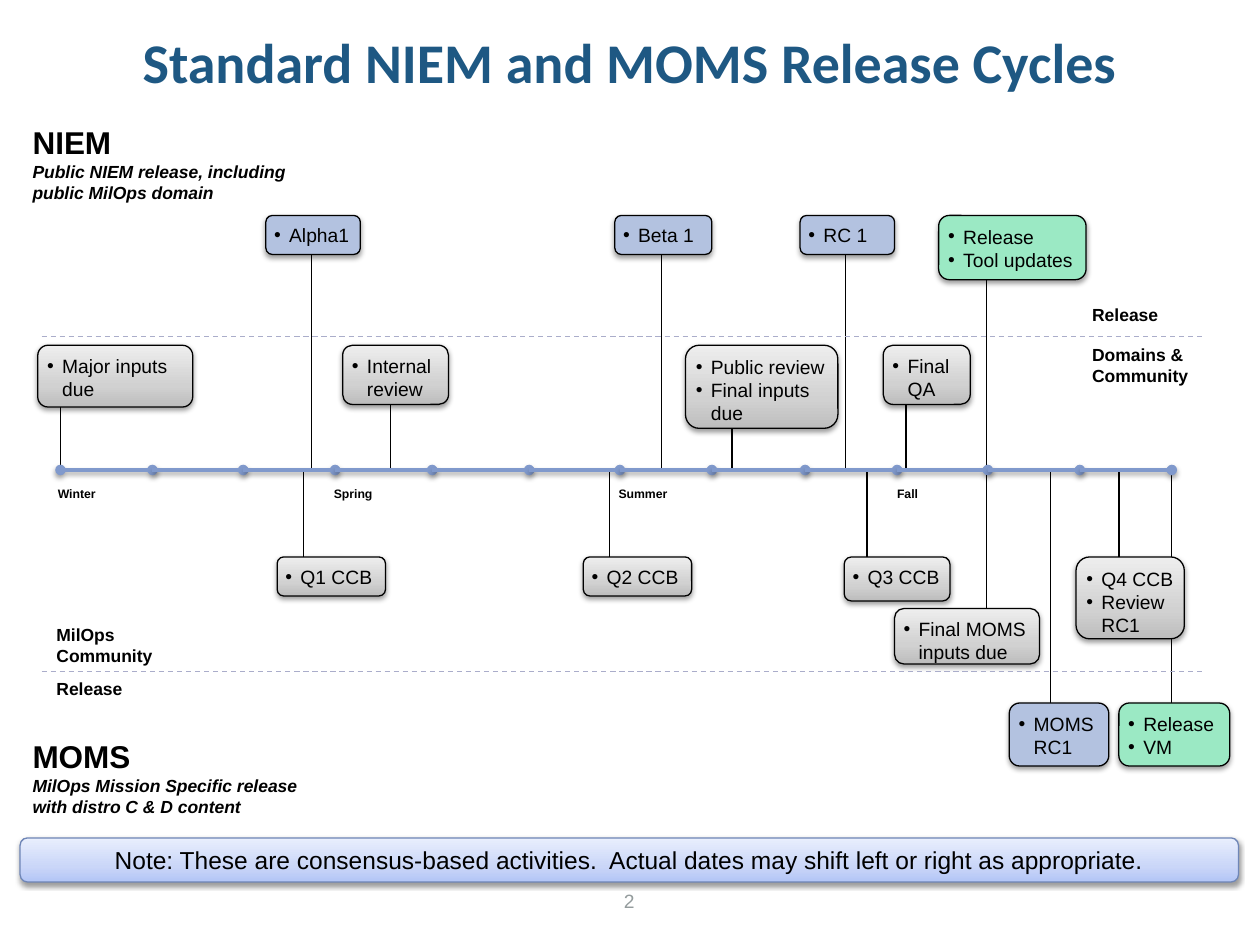
from itertools import pairwise

from lxml import etree
from pptx import Presentation
from pptx.dml.color import RGBColor
from pptx.enum.dml import MSO_LINE
from pptx.enum.shapes import MSO_CONNECTOR, MSO_SHAPE
from pptx.enum.text import MSO_ANCHOR, PP_ALIGN
from pptx.oxml.ns import qn
from pptx.util import Inches, Pt

STRAIGHT = MSO_CONNECTOR.STRAIGHT
ROUNDED = MSO_SHAPE.ROUNDED_RECTANGLE
DASH = MSO_LINE.DASH
TOP, MIDDLE = MSO_ANCHOR.TOP, MSO_ANCHOR.MIDDLE
LEFT, CENTER = PP_ALIGN.LEFT, PP_ALIGN.CENTER

BLACK = RGBColor(0x00, 0x00, 0x00)
TITLE_BLUE = RGBColor(0x1E, 0x58, 0x83)
PAGE_GRAY = RGBColor(0x94, 0x9C, 0x9D)
DIVIDER = RGBColor(0xAA, 0xAD, 0xCA)
AXIS_BLUE = RGBColor(0x80, 0x99, 0xCC)
NOTE_EDGE = RGBColor(0x6F, 0x86, 0xB7)
PREVIEW = RGBColor(0xB3, 0xC2, 0xE0)
FINAL = RGBColor(0x9B, 0xE9, 0xC4)
GRAY_STOPS = ((0, RGBColor(0xBD, 0xBD, 0xBD)), (35, RGBColor(0xD1, 0xD1, 0xD1)),
              (100, RGBColor(0xEE, 0xEE, 0xEE)))
NOTE_STOPS = ((0, RGBColor(0xB3, 0xC5, 0xF6)), (35, RGBColor(0xCA, 0xD6, 0xF8)),
              (100, RGBColor(0xE9, 0xEF, 0xFD)))

AXIS_Y = 3.73
TICKS = (0.48, 1.21, 1.93, 2.66, 3.43, 4.2, 4.92, 5.65, 6.39, 7.12, 7.84, 8.57, 9.3)
SEASONS = ((0.46, "Winter"), (2.65, "Spring"), (4.91, "Summer"), (7.12, "Fall"))

# Callouts: left, width, height, stem x, bullets, fill
NIEM_RELEASES = (
    (2.11, 0.75, 0.31, 2.47, ["Alpha1"], PREVIEW),
    (4.88, 0.77, 0.31, 5.25, ["Beta 1"], PREVIEW),
    (6.35, 0.75, 0.31, 6.71, ["RC 1"], PREVIEW),
    (7.45, 1.17, 0.51, 7.83, ["Release", "Tool updates"], FINAL),
)
NIEM_COMMUNITY = (
    (0.3, 1.23, 0.49, 0.48, ["Major inputs due"], GRAY_STOPS),
    (2.72, 0.84, 0.47, 3.1, ["Internal review"], GRAY_STOPS),
    (5.44, 1.21, 0.66, 5.81, ["Public review", "Final inputs due"], GRAY_STOPS),
    (7.01, 0.69, 0.47, 7.19, ["Final QA"], GRAY_STOPS),
)
MOMS_RELEASES = (
    (8.01, 0.79, 0.5, 8.34, ["MOMS RC1"], PREVIEW),
    (8.88, 0.88, 0.5, 9.3, ["Release", "VM"], FINAL),
)
MOMS_COMMUNITY = (
    (2.2, 0.86, 0.31, 2.41, ["Q1 CCB"], GRAY_STOPS),
    (4.63, 0.86, 0.31, 4.84, ["Q2 CCB"], GRAY_STOPS),
    (6.7, 0.84, 0.35, 6.88, ["Q3 CCB"], GRAY_STOPS),
    (8.54, 0.86, 0.65, 8.88, ["Q4 CCB", "Review RC1"], GRAY_STOPS),
)
MOMS_INPUTS = ((7.1, 1.15, 0.44, 7.83, ["Final MOMS inputs due"], GRAY_STOPS),)


def add_child(parent, tag, **attrs):
    return etree.SubElement(parent, qn(tag), attrs)


def add_shadow(effects):
    shadow = add_child(effects, "a:outerShdw", blurRad=str(Pt(3.1)), dist=str(Pt(1.6)),
                       dir="5400000", rotWithShape="0")
    color = add_child(shadow, "a:srgbClr", val=str(BLACK))
    add_child(color, "a:alpha", val="38000")


def add_line(s, x1, y1, x2, y2, color=BLACK, width=0.75):
    """Return the connector and its empty effect list."""
    line = s.shapes.add_connector(STRAIGHT, *map(Inches, (x1, y1, x2, y2)))
    line.line.color.rgb = color
    line.line.width = Pt(width)
    return line, add_child(line._element.spPr, "a:effectLst")


def write(tf, paragraphs, align=LEFT, anchor=TOP, insets=(0.1, 0.05)):
    """Fill a text frame from (text, font values) pairs."""
    tf.word_wrap = True
    tf.vertical_anchor = anchor
    tf.margin_left = tf.margin_right = Inches(insets[0])
    tf.margin_top = tf.margin_bottom = Inches(insets[1])
    for i, (text, font) in enumerate(paragraphs):
        p = tf.add_paragraph() if i else tf.paragraphs[0]
        p.alignment = align
        r = p.add_run()
        r.text = text
        r.font.color.rgb = font.get("color", BLACK)
        for name, value in {"name": "Arial", **font}.items():
            if name != "color":
                setattr(r.font, name, value)


def add_text(s, box, paragraphs, **layout):
    write(s.shapes.add_textbox(*map(Inches, box)).text_frame, paragraphs, **layout)


def add_panel(s, box, fill, edge=BLACK):
    """Rounded box with a shadow; fill is a colour or a tuple of gradient stops."""
    sp = s.shapes.add_shape(ROUNDED, *map(Inches, box))
    if isinstance(fill, RGBColor):
        sp.fill.solid()
        sp.fill.fore_color.rgb = fill
    else:
        sp.fill.gradient()
        sp.fill.gradient_angle = 90
        stops = sp._element.spPr.find(".//" + qn("a:gsLst"))
        stops[:] = []
        for position, color in fill:
            stop = add_child(stops, "a:gs", pos=str(position * 1000))
            add_child(stop, "a:srgbClr", val=str(color))
    sp.line.color.rgb = edge
    sp.line.width = Pt(0.75)
    sp.shadow.inherit = False
    add_shadow(sp._element.spPr.find(qn("a:effectLst")))
    return sp


def add_callout(s, box, bullets, fill):
    tf = add_panel(s, box, fill).text_frame
    write(tf, [(text, {"size": Pt(11)}) for text in bullets], insets=(0.05, 0.05))
    for p in tf.paragraphs:
        pPr = p._p.get_or_add_pPr()
        pPr.set("marL", str(Inches(0.12)))
        pPr.set("indent", str(-Inches(0.12)))
        add_child(pPr, "a:buFont", typeface="Arial")
        add_child(pPr, "a:buChar", char="•")


def add_lane(s, top, callouts):
    """A row of callouts, each tied to the time axis by a stem."""
    for left, width, height, stem, bullets, fill in callouts:
        edge = top + height if top < AXIS_Y else top
        add_line(s, stem, edge, stem, AXIS_Y)
        add_callout(s, (left, top, width, height), bullets, fill)


def add_divider(s, y, labels):
    """Dashed line with (left, offset from line, height, text) labels."""
    add_line(s, 0.33, y, 9.54, y, DIVIDER)[0].line.dash_style = DASH
    for left, offset, height, text in labels:
        add_text(s, (left, y + offset, 1.13, height), [(text, {"size": Pt(10), "bold": True})])


def add_heading(s, box, name, description):
    add_text(s, box, [(name, {"size": Pt(18), "bold": True}),
                      (description, {"size": Pt(10), "bold": True, "italic": True})])


def add_timeline(s, y):
    for i, (start, end) in enumerate(pairwise(TICKS)):
        line, effects = add_line(s, start, y, end, y, AXIS_BLUE, 2)
        add_shadow(effects)
        ln = line.line._get_or_add_ln()
        if i == 0:
            add_child(ln, "a:headEnd", type="oval")
        add_child(ln, "a:tailEnd", type="oval")
    for left, season in SEASONS:
        add_text(s, (left, y + 0.08, 0.5, 0.22), [(season, {"size": Pt(7), "bold": True})],
                 insets=(0, 0.05))


def main():
    prs = Presentation()
    prs.slide_width, prs.slide_height = Inches(10), Inches(7.5)
    s = prs.slides.add_slide(prs.slide_layouts[6])

    title_font = {"name": "Calibri", "size": Pt(32), "bold": True, "color": TITLE_BLUE}
    add_text(s, (0, 0.17, 10, 1), [("Standard NIEM and MOMS Release Cycles", title_font)],
             align=CENTER)
    for top, callouts in ((1.71, NIEM_RELEASES), (5.58, MOMS_RELEASES), (2.74, NIEM_COMMUNITY),
                          (4.42, MOMS_COMMUNITY), (4.83, MOMS_INPUTS)):
        add_lane(s, top, callouts)
    add_divider(s, 2.67, ((8.57, -0.31, 0.27, "Release"),
                          (8.57, 0.01, 0.44, "Domains & Community")))
    add_divider(s, 5.33, ((0.35, 0, 0.27, "Release"),
                          (0.35, -0.43, 0.44, "MilOps Community")))
    add_heading(s, (0.16, 0.93, 2.25, 0.74), "NIEM",
                "Public NIEM release, including public MilOps domain")
    add_heading(s, (0.16, 5.8, 2.42, 0.74), "MOMS",
                "MilOps Mission Specific release with distro C & D content")
    add_timeline(s, AXIS_Y)

    note = add_panel(s, (0.16, 6.65, 9.67, 0.35), NOTE_STOPS, NOTE_EDGE)
    write(note.text_frame, [("Note: These are consensus-based activities.  Actual dates may "
                             "shift left or right as appropriate.", {"size": Pt(14)})],
          align=CENTER, anchor=MIDDLE)
    add_text(s, (3.83, 6.95, 2.33, 0.4), [("2", {"size": Pt(11), "color": PAGE_GRAY})],
             align=CENTER, anchor=MIDDLE)
    prs.save("out.pptx")


if __name__ == "__main__":
    main()
